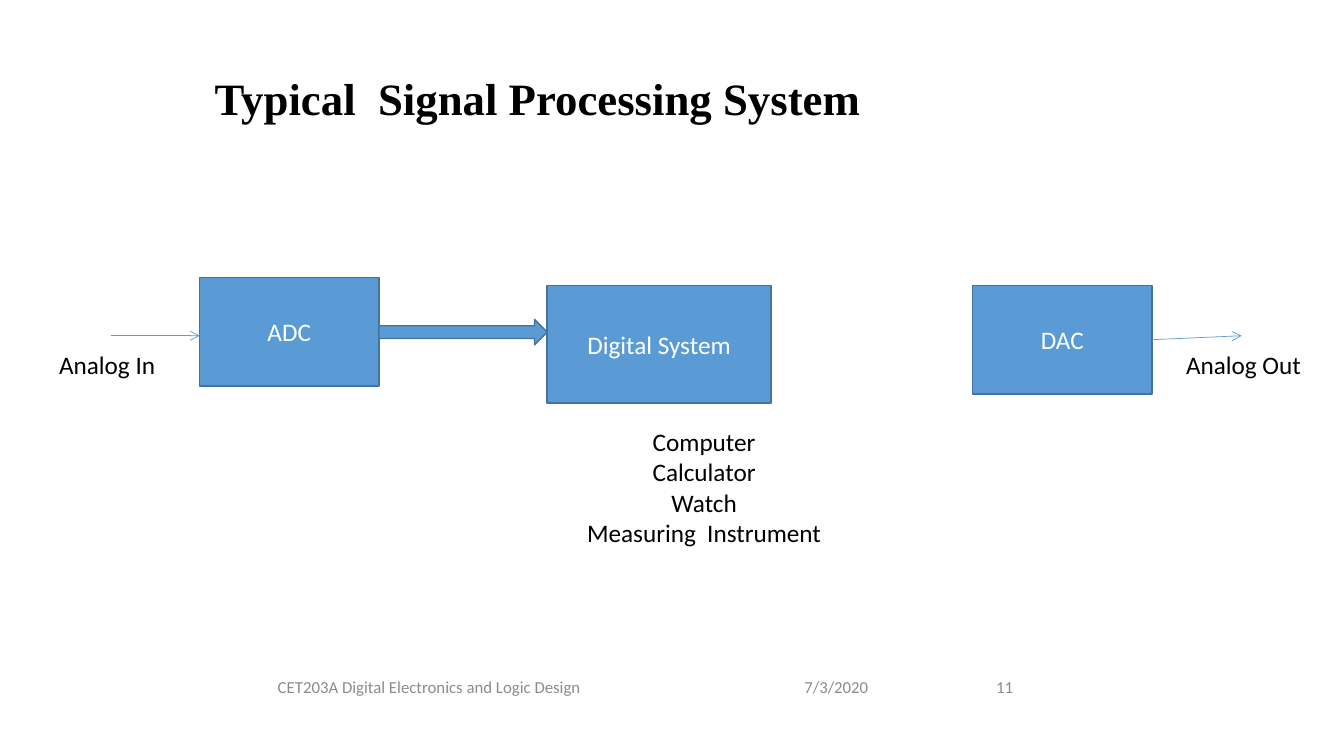
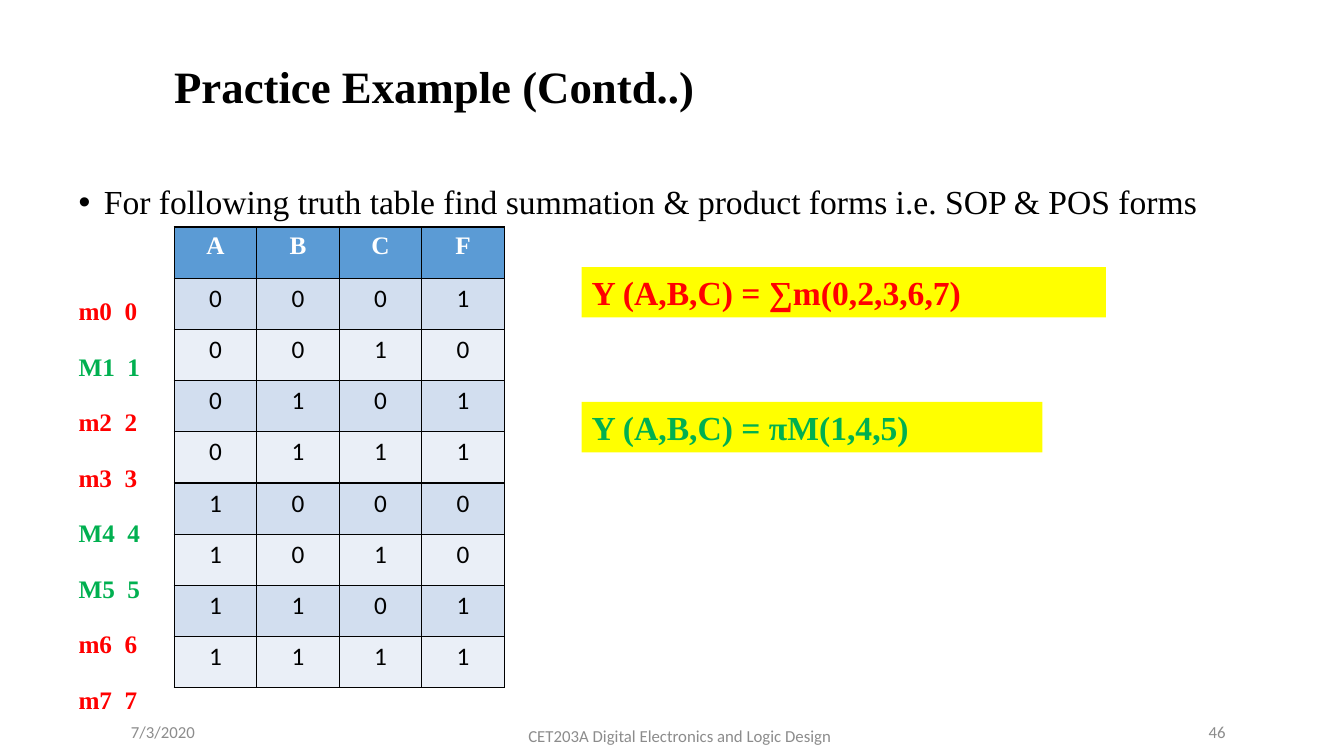
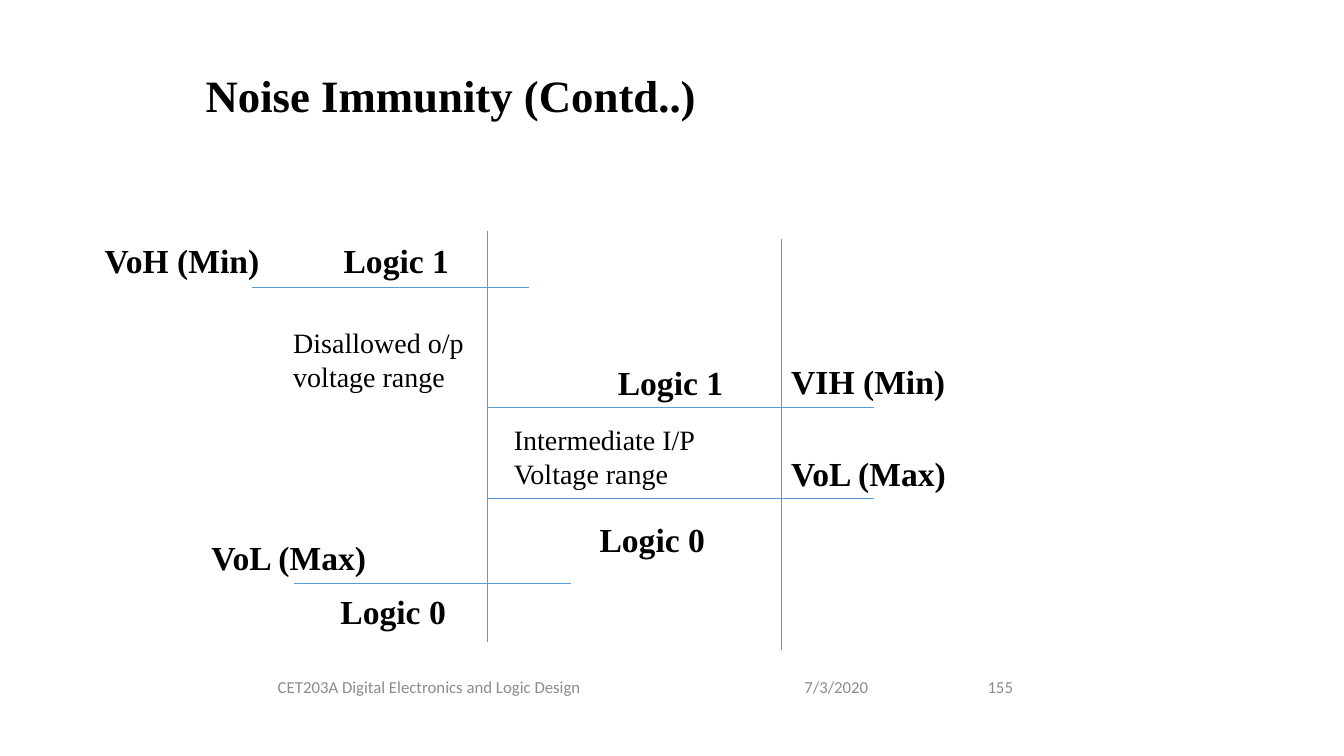
"""Build three digital electronics lecture slides."""
from itertools import product

from lxml.etree import SubElement
from pptx import Presentation
from pptx.dml.color import RGBColor
from pptx.enum.shapes import MSO_CONNECTOR as Connector
from pptx.enum.shapes import MSO_SHAPE as Shape
from pptx.enum.text import MSO_ANCHOR as Anchor
from pptx.enum.text import PP_ALIGN as Align
from pptx.oxml.ns import qn
from pptx.util import Cm, Pt

COLOURS = {
    "black": "000000", "white": "FFFFFF", "blue": "5B9BD5", "edge": "43739E",
    "grey": "8C8C8C", "red": "FF0000", "green": "00B050", "yellow": "FFFF00",
    "band": "D2DEEF", "pale": "EAEFF7",
}
SERIF, SANS = "Times New Roman", "Calibri"

COURSE, DATE = "CET203A Digital Electronics and Logic Design", "7/3/2020"
FOOTER_CLOSE = {
    "course": (2.26, 16.79, 17.12, 1.02),
    "date": (20.02, 16.79, 2.54, 1.02),
    "number": (23.88, 16.79, 1.9, 1.02),
}
FOOTER_WIDE = {
    "course": (10.44, 18.03, 13.39, 1.02),
    "date": (3.05, 17.93, 6.86, 1.02),
    "number": (27.51, 17.93, 3.63, 1.02),
}

STAGES = {
    "ADC": (5.03, 6.99, 4.52, 2.74),
    "Digital System": (13.79, 7.19, 5.64, 2.97),
    "DAC": (24.51, 7.19, 4.52, 2.74),
}
SIGNAL_LABELS = [
    (["Analog In"], (1.24, 8.69, 3.38, 1.02), Align.LEFT),
    (["Analog Out"], (29.64, 8.69, 4.22, 1.02), Align.LEFT),
    (["Computer", "Calculator", "Watch", "Measuring  Instrument"],
     (13.87, 10.62, 7.75, 3.33), Align.CENTER),
]

QUESTION = "For following truth table find summation & product forms i.e. SOP & POS forms"
HEADINGS = ["A", "B", "C", "F"]
OUTPUTS = [1, 0, 1, 1, 0, 0, 1, 1]
ANSWERS = [
    ("Y (A,B,C) = ∑m(0,2,3,6,7)", "red", (14.66, 6.73, 13.21, 1.27)),
    ("Y (A,B,C) = πM(1,4,5)", "green", (14.66, 10.13, 11.61, 1.27)),
]
TABLE_LEFT, TABLE_TOP, COLUMN, ROW = 4.39, 5.72, 2.08, 1.29
TERM_LEFT, TERM_TOP, TERM_STEP = 1.73, 7.32, 1.4

LEVEL_LINES = [
    (12.27, 16.18, 12.27, 5.82), (19.69, 16.38, 19.69, 6.02),
    (6.35, 7.24, 13.34, 7.24), (7.42, 14.69, 14.4, 14.69),
    (12.27, 12.57, 22.02, 12.57), (12.27, 10.26, 22.02, 10.26),
]
LEVEL_LABELS = [
    ("VoH (Min)", 2.39, 5.92, 4.45), ("VoL (Max)", 5.08, 13.41, 4.45),
    ("VIH (Min)", 19.69, 8.97, 4.42), ("VoL (Max)", 19.69, 11.3, 4.45),
    ("Logic 1", 15.32, 8.99, 3.2), ("Logic 1", 8.41, 5.92, 3.2),
    ("Logic 0", 8.33, 14.76, 3.2), ("Logic 0", 14.86, 12.95, 3.2),
]
RANGES = [
    (["Intermediate I/P", "Voltage range"], (12.7, 10.52, 7.62, 1.96)),
    (["Disallowed o/p voltage range"], (7.14, 8.08, 6.2, 1.96)),
]


def rgb(name):
    return RGBColor.from_string(COLOURS[name])


def fill(target, name):
    target.fill.solid()
    target.fill.fore_color.rgb = rgb(name)


def write(frame, lines, size, colour="black", font=SANS, bold=False,
          align=Align.LEFT, spacing=None):
    frame.text = "\n".join(lines)
    for para in frame.paragraphs:
        para.alignment = align
        para.line_spacing = spacing
        for span in para.runs:
            span.font.size = Pt(size)
            span.font.name = font
            span.font.bold = bold
            span.font.color.rgb = rgb(colour)


def add_text(page, lines, place, size, anchor=Anchor.TOP, wrap=True, **style):
    box = page.shapes.add_textbox(*map(Cm, place))
    box.text_frame.word_wrap = wrap
    box.text_frame.vertical_anchor = anchor
    write(box.text_frame, lines, size, **style)
    return box


def add_block(page, kind, place, colour, edge=None):
    block = page.shapes.add_shape(kind, *map(Cm, place))
    block.shadow.inherit = False
    fill(block, colour)
    if edge:
        block.line.color.rgb = rgb(edge)
        block.line.width = Pt(1)
    else:
        block.line.fill.background()
    return block


def add_line(page, ends, arrow=False):
    line = page.shapes.add_connector(Connector.STRAIGHT, *map(Cm, ends))
    line.line.color.rgb = rgb("blue")
    line.line.width = Pt(0.5)
    if arrow:
        SubElement(line.line._get_or_add_ln(), qn("a:tailEnd"), type="arrow")
    SubElement(line._element.spPr, qn("a:effectLst"))
    return line


def add_page(deck, title, place, number, footer):
    page = deck.slides.add_slide(deck.slide_layouts[6])
    add_text(page, [title], place, 32, Anchor.MIDDLE, font=SERIF, bold=True, spacing=0.9)
    parts = [("course", COURSE, Align.CENTER), ("date", DATE, Align.LEFT),
             ("number", str(number), Align.RIGHT)]
    for part, text, align in parts:
        add_text(page, [text], footer[part], 12, Anchor.MIDDLE, colour="grey", align=align)
    return page


def add_bullet(para):
    props = para._p.get_or_add_pPr()
    props.set("marL", str(Cm(0.64)))
    props.set("indent", str(-Cm(0.64)))
    SubElement(props, qn("a:buFont"), typeface="Arial")
    SubElement(props, qn("a:buChar"), char="•")


def add_borders(cell):
    props = cell._tc.get_or_add_tcPr()
    for index, side in enumerate(("lnL", "lnR", "lnT", "lnB")):
        line = props.makeelement(qn(f"a:{side}"), {"w": str(Pt(1))})
        paint = SubElement(line, qn("a:solidFill"))
        SubElement(paint, qn("a:srgbClr"), val=COLOURS["black"])
        props.insert(index, line)


def add_truth_table(page):
    inputs = product((0, 1), repeat=3)
    rows = [HEADINGS] + [[*bits, out] for bits, out in zip(inputs, OUTPUTS)]
    size = (COLUMN * len(HEADINGS), ROW * len(rows))
    table = page.shapes.add_table(len(rows), len(HEADINGS), Cm(TABLE_LEFT), Cm(TABLE_TOP),
                                  *map(Cm, size)).table
    for column in table.columns:
        column.width = Cm(COLUMN)
    for index, values in enumerate(rows):
        table.rows[index].height = Cm(ROW)
        header = index == 0
        shade = "blue" if header else ("pale", "band")[index % 2]
        for position, value in enumerate(values):
            cell = table.cell(index, position)
            cell.margin_left = cell.margin_right = Cm(0.33)
            fill(cell, shade)
            add_borders(cell)
            write(cell.text_frame, [str(value)], 18, "white" if header else "black",
                  SERIF if header else SANS, header, Align.CENTER)


def build_signal_page(deck):
    page = add_page(deck, "Typical  Signal Processing System", (5.16, 0.76, 17.7, 3.56),
                    11, FOOTER_CLOSE)
    blocks = {}
    for name, place in STAGES.items():
        blocks[name] = add_block(page, Shape.RECTANGLE, place, "blue", "edge")
        blocks[name].text_frame.vertical_anchor = Anchor.MIDDLE
        write(blocks[name].text_frame, [name], 18, "white", align=Align.CENTER)
    left, _, width, _ = STAGES["ADC"]
    start, stop = left + width, STAGES["Digital System"][0]
    add_block(page, Shape.RIGHT_ARROW, (start, 8.05, stop - start, 0.64), "blue", "edge")
    add_line(page, (2.79, 8.46, left, 8.46), arrow=True)
    add_line(page, (29.03, 8.56, 31.29, 8.46), arrow=True).begin_connect(blocks["DAC"], 3)
    for lines, place, align in SIGNAL_LABELS:
        add_text(page, lines, place, 18, align=align)


def build_practice_page(deck):
    page = add_page(deck, "Practice Example (Contd..)", (4.14, 0.76, 26.24, 2.97),
                    46, FOOTER_WIDE)
    question = add_text(page, [QUESTION], (1.73, 4.56, 30.48, 1.2), 24, font=SERIF, spacing=0.9)
    add_bullet(question.text_frame.paragraphs[0])
    add_truth_table(page)
    for index, output in enumerate(OUTPUTS):
        letter, colour = ("m", "red") if output else ("M", "green")
        add_text(page, [f"{letter}{index}  {index}"],
                 (TERM_LEFT, TERM_TOP + index * TERM_STEP, 2.08, 1.02), 18, wrap=False,
                 colour=colour, font=SERIF, bold=True)
    for text, colour, place in ANSWERS:
        block = add_block(page, Shape.RECTANGLE, place, "yellow")
        block.text_frame.vertical_anchor = Anchor.TOP
        write(block.text_frame, [text], 24, colour, SERIF, True)


def build_noise_page(deck):
    page = add_page(deck, "Noise Immunity (Contd..)", (4.93, 1.14, 21.39, 2.64),
                    155, FOOTER_CLOSE)
    for ends in LEVEL_LINES:
        add_line(page, ends)
    for text, left, top, width in LEVEL_LABELS:
        add_text(page, [text], (left, top, width, 1.27), 24, wrap=False, font=SERIF, bold=True)
    for lines, place in RANGES:
        add_text(page, lines, place, 20, font=SERIF)


def main():
    deck = Presentation()
    deck.slide_width, deck.slide_height = Cm(33.87), Cm(19.05)
    build_signal_page(deck)
    build_practice_page(deck)
    build_noise_page(deck)
    deck.save("out.pptx")


if __name__ == "__main__":
    main()
